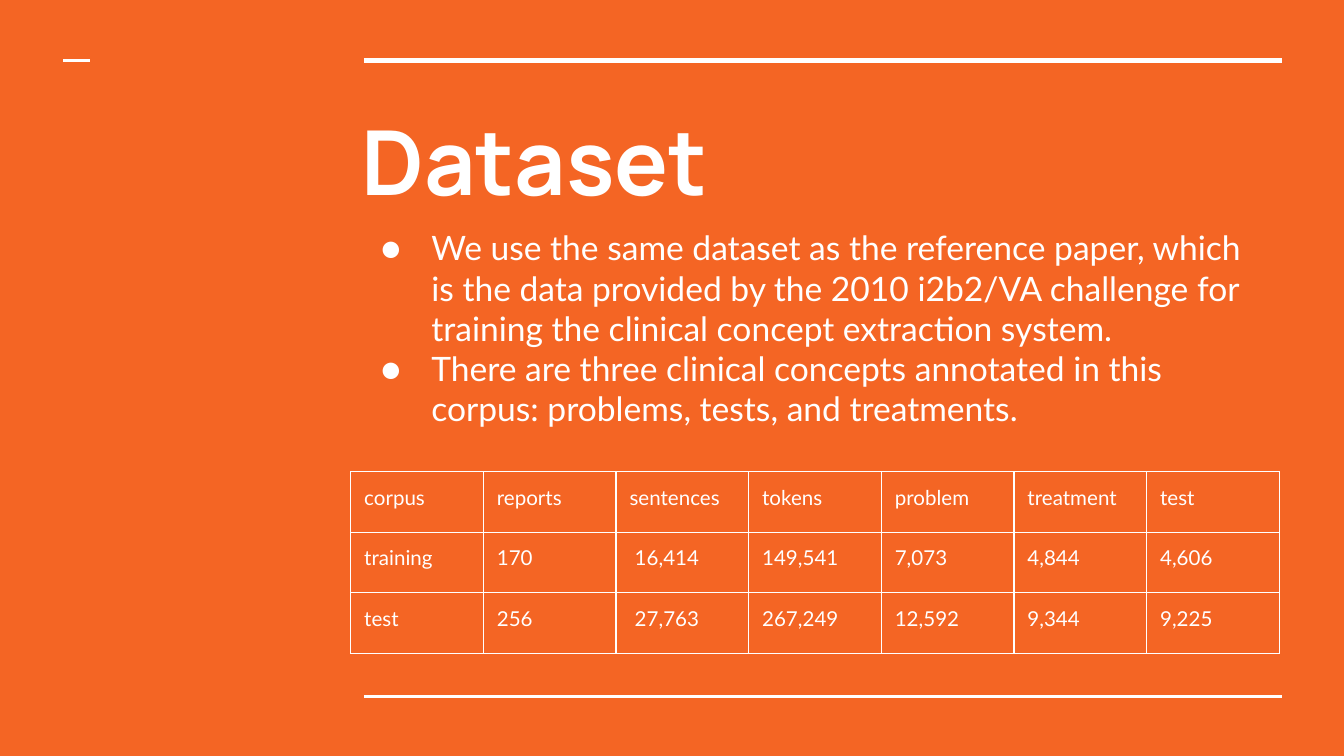
from lxml import etree
from pptx import Presentation
from pptx import util as u
from pptx.dml.color import RGBColor
from pptx.enum import shapes, text
from pptx.oxml import ns

COLORS = {"back": "F46524", "ink": "FFFFFF"}
TITLE = "Dataset"
POINTS = [
    "We use the same dataset as the reference paper, which is the data provided "
    "by the 2010 i2b2/VA challenge for training the clinical concept extraction system.",
    "There are three clinical concepts annotated in this corpus: "
    "problems, tests, and treatments.",
]
ROWS = [
    ["corpus", "reports", "sentences", "tokens", "problem", "treatment", "test"],
    ["training", "170", " 16,414", "149,541", "7,073", "4,844", "4,606"],
    ["test", "256", " 27,763", "267,249", "12,592", "9,344", "9,225"],
]
# left, right, top, width in points
RULES = [(2.71, 9.54, 0.45, 3), (2.71, 9.54, 5.18, 1.5), (0.47, 0.67, 0.45, 1.5)]


def rgb(name):
    return RGBColor.from_string(COLORS[name])


def add_xml(parent, tag, **attrs):
    return etree.SubElement(parent, ns.qn(tag), attrs)


def style(para, size, face, bold=False):
    para.alignment = text.PP_ALIGN.LEFT
    for run in para.runs:
        font = run.font
        font.size, font.name, font.bold = u.Pt(size), face, bold
        font.color.rgb = rgb("ink")


def pad(item):
    item.margin_left = item.margin_right = u.Inches(0.1)
    item.margin_top = item.margin_bottom = u.Inches(0.1)


def place(holder, box, anchor):
    holder.left, holder.top, holder.width, holder.height = map(u.Inches, box)
    frame = holder.text_frame
    frame.word_wrap = True
    frame.auto_size = text.MSO_AUTO_SIZE.NONE
    frame.vertical_anchor = anchor
    pad(frame)
    return frame


def add_rule(slide, left, right, top, width):
    line = slide.shapes.add_connector(
        shapes.MSO_CONNECTOR.STRAIGHT,
        u.Inches(left), u.Inches(top), u.Inches(right), u.Inches(top))
    line.line.color.rgb = rgb("ink")
    line.line.width = u.Pt(width)
    add_xml(line._element.spPr, "a:effectLst")


def add_title(slide):
    frame = place(slide.shapes.title, (2.59, 0.69, 6.92, 1.01), text.MSO_ANCHOR.TOP)
    frame.text = TITLE
    style(frame.paragraphs[0], 48, "Manrope", True)


def add_list(slide):
    frame = place(slide.placeholders[1], (2.61, 1.57, 6.92, 1.72),
                  text.MSO_ANCHOR.BOTTOM)
    frame.text = "\n".join(POINTS)
    for para in frame.paragraphs:
        style(para, 18, "Lato")
        para.space_before = para.space_after = u.Pt(0)
        props = para._p.get_or_add_pPr()
        props.set("marL", str(u.Inches(0.5)))
        props.set("indent", str(-u.Pt(27)))
        tint = add_xml(props, "a:buClr")
        add_xml(tint, "a:srgbClr", val=COLORS["ink"])
        add_xml(props, "a:buFont", typeface="Lato")
        add_xml(props, "a:buChar", char="●")


def set_edges(cell):
    props = cell._tc.get_or_add_tcPr()
    # Edges come before the fill in the cell properties
    for spot, side in enumerate(["a:lnL", "a:lnR", "a:lnT", "a:lnB"]):
        edge = etree.Element(ns.qn(side), w=str(u.Pt(0.75)))
        fill = add_xml(edge, "a:solidFill")
        add_xml(fill, "a:srgbClr", val=COLORS["ink"])
        props.insert(spot, edge)


def add_grid(slide):
    wide, high = u.Inches(6.91), u.Inches(0.45)
    count = len(ROWS[0])
    grid = slide.shapes.add_table(
        len(ROWS), count, u.Inches(2.61), u.Inches(3.51),
        wide, high * len(ROWS)).table
    grid.first_row = grid.horz_banding = False
    for col in grid.columns:
        col.width = wide // count
    for row, words in zip(grid.rows, ROWS):
        row.height = high
        for cell, word in zip(row.cells, words):
            cell.text_frame.text = word
            style(cell.text_frame.paragraphs[0], 11, "Lato")
            pad(cell)
            cell.fill.background()
            set_edges(cell)


def main():
    deck = Presentation()
    # Widescreen, 16 to 9
    deck.slide_width = u.Inches(10)
    deck.slide_height = u.Inches(10) * 9 // 16
    slide = deck.slides.add_slide(deck.slide_layouts[1])

    # Background and rules
    slide.background.fill.solid()
    slide.background.fill.fore_color.rgb = rgb("back")
    for rule in RULES:
        add_rule(slide, *rule)

    # Content
    add_title(slide)
    add_list(slide)
    add_grid(slide)
    deck.save("out.pptx")


if __name__ == "__main__":
    main()
